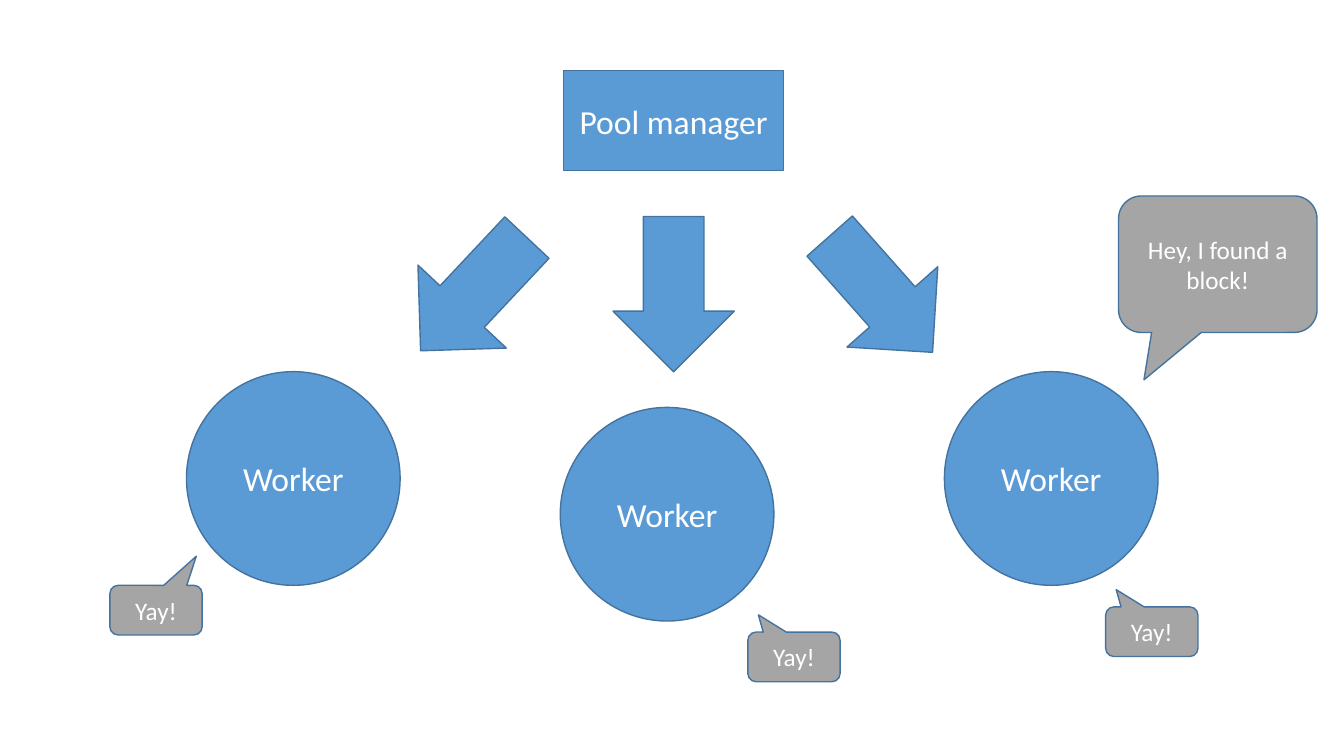
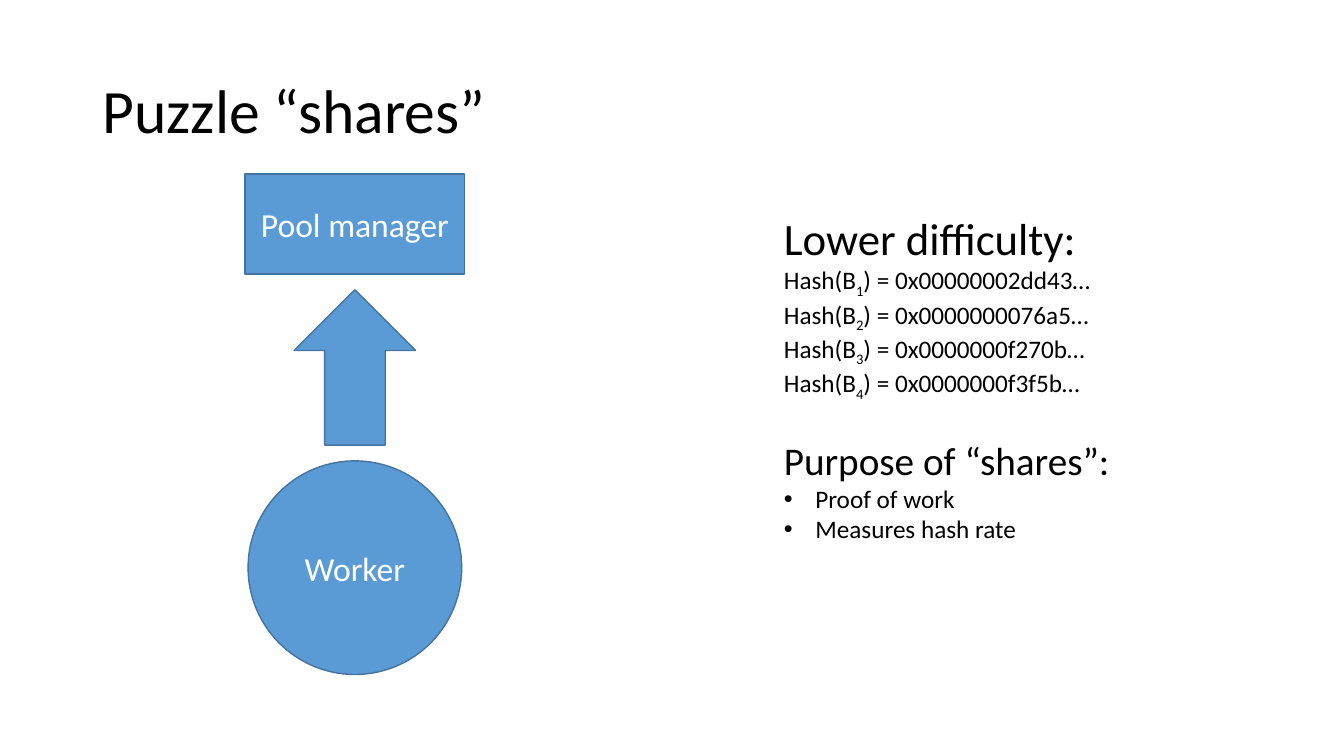
from lxml import etree
from pptx import Presentation
from pptx.dml.color import RGBColor
from pptx.enum.shapes import MSO_SHAPE
from pptx.enum.text import MSO_ANCHOR, MSO_AUTO_SIZE, PP_ALIGN
from pptx.oxml.ns import qn
from pptx.util import Pt

RECT, ELLIPSE = MSO_SHAPE.RECTANGLE, MSO_SHAPE.OVAL
ARROW, CALLOUT = MSO_SHAPE.DOWN_ARROW, MSO_SHAPE.ROUNDED_RECTANGULAR_CALLOUT
MIDDLE, FIT = MSO_ANCHOR.MIDDLE, MSO_AUTO_SIZE.SHAPE_TO_FIT_TEXT
LEFT, CENTER = PP_ALIGN.LEFT, PP_ALIGN.CENTER

COLORS = {"blue": "5B9BD5", "edge": "43739E", "gray": "A5A5A5",
          "white": "FFFFFF", "black": "000000"}
FONT = "Calibri"
TITLE_ONLY, BLANK = 5, 6

# Sizes of the recurring parts, in points
MANAGER_W, MANAGER_H = 157, 71.3
ARROW_W, ARROW_H = 86.6, 110.9
WORKER_D = 152.6
YAY_W, YAY_H = 65.9, 35.5


def color(name):
    return RGBColor.from_string(COLORS[name])


def style(p, size, name):
    for r in p.runs:
        r.font.name, r.font.size = FONT, Pt(size)
        r.font.color.rgb = color(name)


def add_part(s, kind, x, y, w, h, text="", size=24, fill="blue"):
    """Outlined shape with an optional centred label."""
    sp = s.shapes.add_shape(kind, Pt(x), Pt(y), Pt(w), Pt(h))
    sp.shadow.inherit = False
    sp.fill.solid()
    sp.fill.fore_color.rgb = color(fill)
    sp.line.color.rgb = color("edge")
    sp.line.width = Pt(1)
    if text:
        tf = sp.text_frame
        tf.word_wrap = True
        tf.vertical_anchor = MIDDLE
        p = tf.paragraphs[0]
        p.text = text
        p.alignment = CENTER
        style(p, size, "white")
    return sp


def add_manager(s, x, y):
    return add_part(s, RECT, x, y, MANAGER_W, MANAGER_H, "Pool manager")


def add_arrow(s, x, y, angle=0):
    add_part(s, ARROW, x, y, ARROW_W, ARROW_H).rotation = angle


def add_worker(s, x, y):
    return add_part(s, ELLIPSE, x, y, WORKER_D, WORKER_D, "Worker")


def add_callout(s, x, y, w, h, text, tip):
    sp = add_part(s, CALLOUT, x, y, w, h, text, 18, "gray")
    sp.adjustments[0], sp.adjustments[1] = tip


def add_pool(s, x, y):
    """Manager sending work to three workers, each with a reply."""
    add_manager(s, x + 324, y)
    for dx, angle in ((359.3, 0), (216.5, 43.2), (507.5, 318.5)):
        add_arrow(s, x + dx, y + 104.2, angle)
    # Worker offset, then reply offset from that worker
    workers = (
        (54.6, 215, -54.7, 152.6, (0.437, -1.086)),
        (321.6, 240.5, 134, 160.5, (-0.386, -0.847)),
        (596, 215, 115.2, 168, (-0.386, -0.847)),
    )
    for dx, dy, reply_dx, reply_dy, tip in workers:
        add_worker(s, x + dx, y + dy)
        add_callout(s, x + dx + reply_dx, y + dy + reply_dy,
                    YAY_W, YAY_H, "Yay!", tip)
    add_callout(s, x + 720.4, y + 89.5, 141.8, 97.5,
                "Hey, I found a block!", (-0.372, 0.847))


def add_share_column(s, x, y, w, gap):
    """Worker reporting up to the manager, centred in the column."""
    def left(part_w):
        return x + (w - part_w) / 2

    add_manager(s, left(MANAGER_W), y)
    y += MANAGER_H + gap
    add_arrow(s, left(ARROW_W), y, 180)
    y += ARROW_H + gap
    add_worker(s, left(WORKER_D), y)


def add_title(s, text):
    sp = s.shapes.title
    sp.left, sp.top, sp.width, sp.height = Pt(66), Pt(28.8), Pt(828), Pt(104.4)
    sp.text_frame.text = text
    sp.text_frame.vertical_anchor = MIDDLE
    p = sp.text_frame.paragraphs[0]
    p.alignment, p.line_spacing = LEFT, 0.9
    style(p, 44, "black")


def add_bullet(p):
    pPr = p._p.get_or_add_pPr()
    pPr.set("marL", str(Pt(22.5)))
    pPr.set("indent", str(-Pt(22.5)))
    etree.SubElement(pPr, qn("a:buFont")).set("typeface", "Arial")
    etree.SubElement(pPr, qn("a:buChar")).set("char", "•")


def add_notes_box(s, x, y, w, h, heading, size):
    """Text box that opens with a large heading."""
    tf = s.shapes.add_textbox(Pt(x), Pt(y), Pt(w), Pt(h)).text_frame
    tf.word_wrap = True
    tf.auto_size = FIT
    tf.text = heading
    style(tf.paragraphs[0], size, "black")
    return tf


def add_explanation(s, x, y):
    """Sample hashes above the purpose of shares."""
    tf = add_notes_box(s, x, y, 258.5, 133.2, "Lower difficulty:", 32)
    hashes = ("00000002dd43", "0000000076a5", "0000000f270b", "0000000f3f5b")
    for i, value in enumerate(hashes, 1):
        p = tf.add_paragraph()
        for text in ("Hash(B", str(i), f") = 0x{value}…"):
            p.add_run().text = text
        style(p, 18, "black")
        p.runs[1]._r.get_or_add_rPr().set("baseline", "-25000")

    tf = add_notes_box(s, x, y + 161.2, 294.5, 85, "Purpose of “shares”:", 28)
    for text in ("Proof of work", "Measures hash rate"):
        p = tf.add_paragraph()
        p.text = text
        style(p, 18, "black")
        add_bullet(p)


def main():
    prs = Presentation()
    prs.slide_width, prs.slide_height = Pt(960), Pt(540)

    # Pool overview
    s = prs.slides.add_slide(prs.slide_layouts[BLANK])
    add_pool(s, 78.6, 50.5)

    # Puzzle shares
    s = prs.slides.add_slide(prs.slide_layouts[TITLE_ONLY])
    add_title(s, "Puzzle “shares”")
    add_share_column(s, 175, 124.4, MANAGER_W, 11.3)
    add_explanation(s, 552.8, 147)

    prs.save("out.pptx")


if __name__ == "__main__":
    main()
